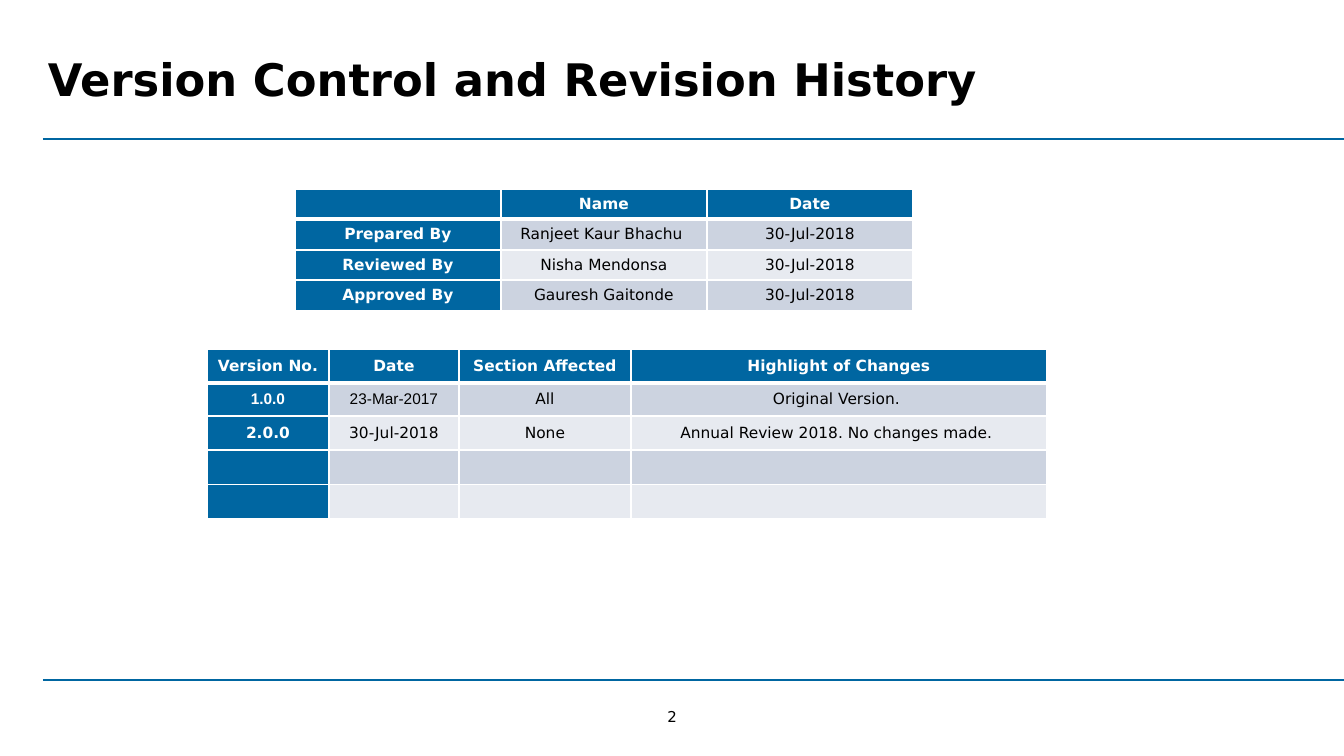
from lxml.etree import SubElement as Sub
from pptx import Presentation
from pptx.dml.color import RGBColor as RGB
from pptx.enum.shapes import MSO_CONNECTOR as Conn
from pptx.enum.text import MSO_ANCHOR as Anchor, PP_ALIGN as Align
from pptx.oxml.ns import qn
from pptx.util import Pt

PX = 914400 / 100.8
FONT = "DejaVu Sans"
HUES = {"blue": "0066A1", "white": "FFFFFF", "black": "000000",
        "dark": "CCD3E0", "light": "E7EAF0"}


def px(n):
    return round(n * PX)


def write(par, text, size, hue, bold=False, face=FONT):
    run = par.add_run()
    run.text = text
    font = run.font
    font.name, font.size, font.bold = face, Pt(size), bold
    font.color.rgb = RGB.from_string(HUES[hue])


deck = Presentation()
deck.slide_width, deck.slide_height = px(1344), px(756)
slide = deck.slides.add_slide(deck.slide_layouts[6])
shapes = slide.shapes

# Rules above and below the content
for y in (139, 680):
    rule = shapes.add_connector(Conn.STRAIGHT, px(43), px(y), px(1344), px(y))
    rule.line.color.rgb = RGB.from_string(HUES["blue"])
    rule.line.width = Pt(1.25)
    Sub(rule._element.spPr, qn("a:effectLst"))

# Title and page number
labels = [
    ("Version Control and Revision History", (48, 47, 1275, 66), 5, 32, True,
     Align.LEFT, Anchor.TOP),
    ("2", (659, 708, 26, 18), 0, 10.7, False, Align.CENTER, Anchor.MIDDLE),
]
for text, place, pad, size, bold, align, anchor in labels:
    frame = shapes.add_textbox(*map(px, place)).text_frame
    frame.word_wrap = True
    frame.vertical_anchor = anchor
    frame.margin_left = frame.margin_right = 0
    frame.margin_top = frame.margin_bottom = px(pad)
    par = frame.paragraphs[0]
    par.alignment = align
    write(par, text, size, "black", bold)

# Sign-off table and revision table: left, top, columns, rows, body insets, cells
grids = [
    (295, 189, [206] * 3, [30, 31, 30, 31], (7, 4), [
        ["", "Name", "Date"],
        ["Prepared By", "Ranjeet Kaur Bhachu ", "30-Jul-2018"],
        ["Reviewed By", "Nisha Mendonsa", "30-Jul-2018"],
        ["Approved By", "Gauresh Gaitonde", "30-Jul-2018"],
    ]),
    (207, 349, [122, 130, 172, 416], [34, 33, 34, 35, 34], (6, 0), [
        ["Version No.", "Date", "Section Affected", "Highlight of Changes"],
        ["1.0.0", "23-Mar-2017", "All", "Original Version. "],
        ["2.0.0", "30-Jul-2018", "None", "Annual Review 2018. No changes made. "],
        [""] * 4,
        [""] * 4,
    ]),
]
arial = {"1.0.0", "23-Mar-2017"}

for left, top, cols, rows, inset, cells in grids:
    table = shapes.add_table(len(rows), len(cols), px(left), px(top),
                             px(sum(cols)), px(sum(rows))).table
    for col, wide in zip(table.columns, cols):
        col.width = px(wide)
    for r, (row, high) in enumerate(zip(table.rows, rows)):
        row.height = px(high)
        for c, text in enumerate(cells[r]):
            cell = table.cell(r, c)
            head = r == 0 or c == 0
            side, edge = inset if r else (7, 4)
            cell.margin_left = cell.margin_right = px(side)
            cell.margin_top = cell.margin_bottom = px(edge)
            cell.vertical_anchor = Anchor.MIDDLE

            props = cell._tc.get_or_add_tcPr()
            for tag in ("lnL", "lnR", "lnT", "lnB"):
                thick = (r, tag) in ((0, "lnB"), (1, "lnT"))
                line = Sub(props, qn("a:" + tag), w=str(Pt(3 if thick else 1)))
                fill = Sub(line, qn("a:solidFill"))
                Sub(fill, qn("a:srgbClr"), val=HUES["white"])
            cell.fill.solid()
            hue = "blue" if head else "dark" if r % 2 else "light"
            cell.fill.fore_color.rgb = RGB.from_string(HUES[hue])

            par = cell.text_frame.paragraphs[0]
            par.alignment = Align.CENTER
            if text:
                write(par, text, 11, "white" if head else "black", head,
                      "Arial" if text in arial else FONT)
            else:
                Sub(par._p, qn("a:endParaRPr"), sz="1100")

deck.save("out.pptx")
